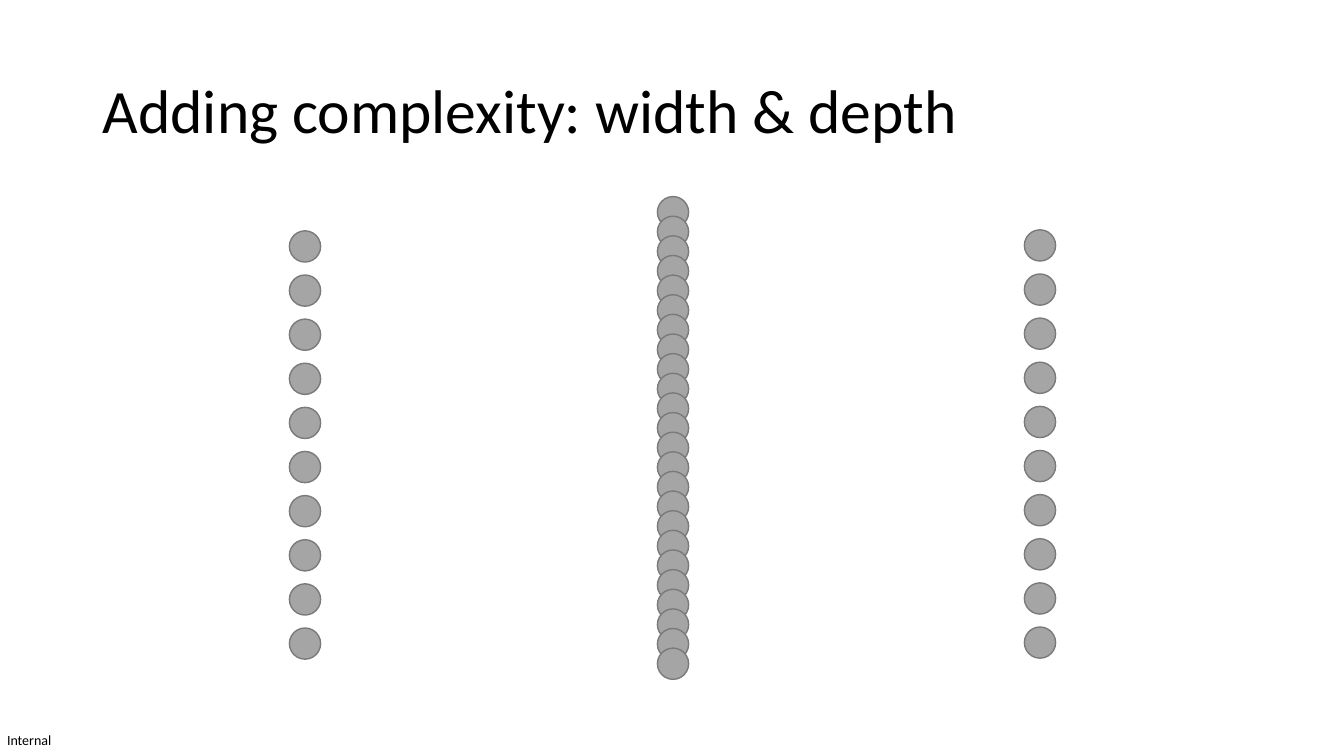
from pptx import Presentation, util as u
from pptx.dml.color import RGBColor
from pptx.enum import shapes, text

DOT_SIZE = 0.31
TITLE_FRAME = {"word_wrap": True, "vertical_anchor": text.MSO_ANCHOR.MIDDLE}
LABEL_FRAME = {
    "word_wrap": False,
    "auto_size": text.MSO_AUTO_SIZE.SHAPE_TO_FIT_TEXT,
    "margin_left": 0,
    "margin_top": 0,
    "margin_right": 0,
    "margin_bottom": 0,
}
LAYERS = [
    {"left": 6.52, "first_top": 1.95, "last_top": 6.43, "count": 24},
    {"left": 10.16, "first_top": 2.28, "last_top": 6.22, "count": 10},
    {"left": 2.87, "first_top": 2.29, "last_top": 6.23, "count": 10},
]


def color(value):
    return RGBColor.from_string(value)


def set_attributes(target, values):
    for name, value in values.items():
        setattr(target, name, value)


def add_text(slide, box, content, size, frame_format, line_spacing=1.0):
    shape = slide.shapes.add_textbox(*map(u.Inches, box))
    set_attributes(shape.text_frame, frame_format)
    paragraph = shape.text_frame.paragraphs[0]
    paragraph.line_spacing = line_spacing
    run = paragraph.add_run()
    run.text = content
    set_attributes(run.font, {"name": "Calibri", "size": u.Pt(size)})
    run.font.color.rgb = color("000000")


def add_neuron(group, left, top):
    box = map(u.Inches, (left, top, DOT_SIZE, DOT_SIZE))
    shape = group.shapes.add_shape(shapes.MSO_SHAPE.OVAL, *box)
    shape.shadow.inherit = False
    shape.fill.solid()
    shape.fill.fore_color.rgb = color("A5A5A5")
    shape.line.color.rgb = color("7A7A7A")
    shape.line.width = u.Pt(1)


def add_layer(slide, left, first_top, last_top, count):
    group = slide.shapes.add_group_shape()
    step = (last_top - first_top) / (count - 1)
    for index in range(count):
        add_neuron(group, left, first_top + index * step)


def main():
    presentation = Presentation()
    presentation.slide_width = u.Inches(13.33)
    presentation.slide_height = u.Inches(7.5)
    slide = presentation.slides.add_slide(presentation.slide_layouts[6])
    add_text(slide, (0.07, 7.26, 0.47, 0.17), "Internal", 10, LABEL_FRAME)
    add_text(slide, (0.92, 0.4, 11.5, 1.45), "Adding complexity: width & depth",
             44, TITLE_FRAME, 0.9)
    for layer in LAYERS:
        add_layer(slide, **layer)
    presentation.save("out.pptx")


if __name__ == "__main__":
    main()
